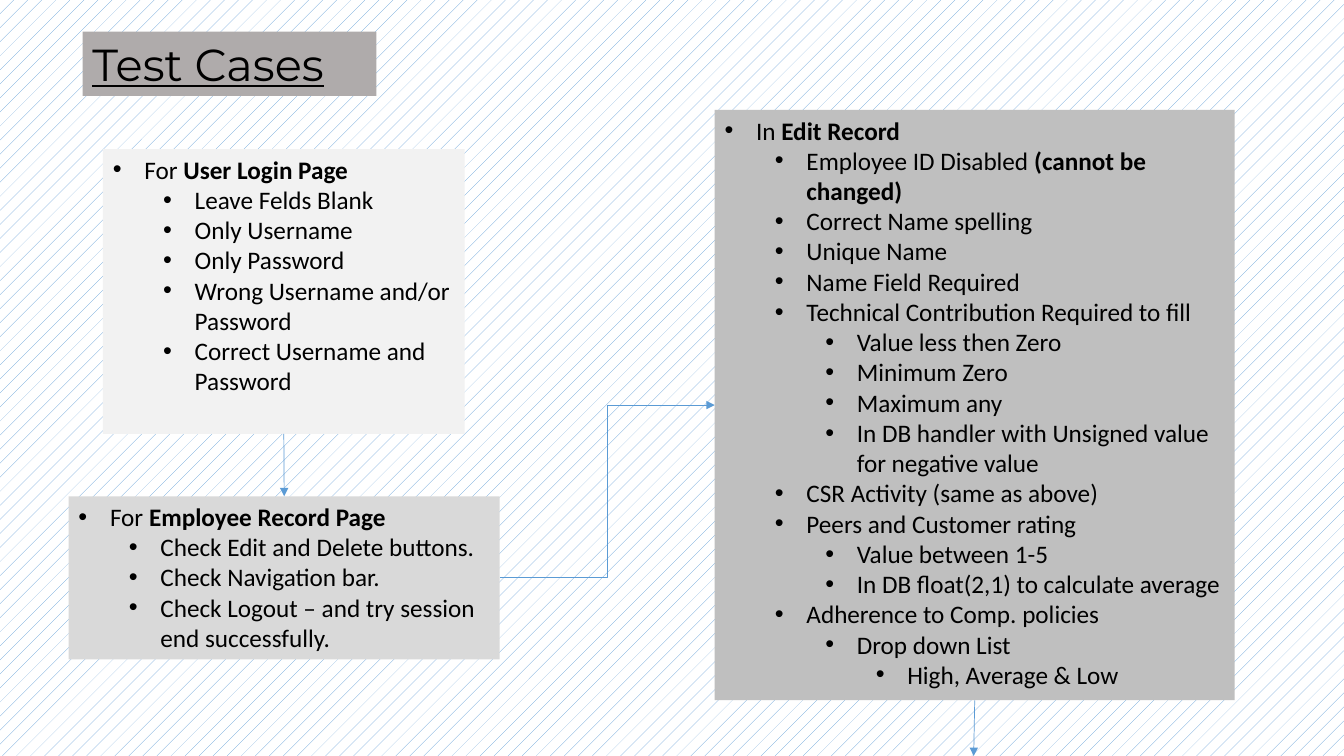
from lxml.etree import SubElement
from pptx import Presentation
from pptx.dml.color import RGBColor
from pptx.enum.dml import MSO_PATTERN
from pptx.enum.shapes import MSO_CONNECTOR, MSO_SHAPE
from pptx.enum.text import MSO_ANCHOR, PP_ALIGN
from pptx.oxml.ns import qn
from pptx.util import Pt

COLORS = {
    "text": "000000", "paper": "FFFFFF", "accent": "5B9BD5", "title": "AFABAB",
    "login": "F2F2F2", "record": "D9D9D9", "edit": "BFBFBF",
}
BULLET_HANG = 22.5
LEVEL_STEP = 36

LOGIN_CASES = [
    (0, "For ", "User Login Page"),
    (1, "Leave Felds Blank"),
    (1, "Only Username"),
    (1, "Only Password"),
    (1, "Wrong Username and/or Password"),
    (1, "Correct Username and Password"),
]
RECORD_CASES = [
    (0, "For ", "Employee Record Page"),
    (1, "Check Edit and Delete buttons."),
    (1, "Check Navigation bar."),
    (1, "Check Logout – and try session end successfully."),
]
EDIT_CASES = [
    (0, "In ", "Edit Record"),
    (1, "Employee ID Disabled ", "(cannot be changed)"),
    (1, "Correct Name spelling"),
    (1, "Unique Name"),
    (1, "Name Field Required"),
    (1, "Technical Contribution Required to fill"),
    (2, "Value less then Zero"),
    (2, "Minimum Zero"),
    (2, "Maximum any"),
    (2, "In DB handler with Unsigned value for negative value"),
    (1, "CSR Activity (same as above)"),
    (1, "Peers and Customer rating"),
    (2, "Value between 1-5"),
    (2, "In DB float(2,1) to calculate average"),
    (1, "Adherence to Comp. policies"),
    (2, "Drop down List"),
    (3, "High, Average & Low"),
]


def rgb(name):
    return RGBColor.from_string(COLORS[name])


def add_text(paragraph, text, *, size=18, font="Calibri", bold=False, underline=False):
    run = paragraph.add_run()
    run.text = text
    run.font.size = Pt(size)
    run.font.name = font
    run.font.bold = bold
    run.font.underline = underline
    run.font.color.rgb = rgb("text")


def add_panel(slide, left, top, width, height, fill):
    panel = slide.shapes.add_shape(
        MSO_SHAPE.RECTANGLE, Pt(left), Pt(top), Pt(width), Pt(height))
    panel.shadow.inherit = False
    panel.fill.solid()
    panel.fill.fore_color.rgb = rgb(fill)
    panel.line.fill.background()
    panel.text_frame.word_wrap = True
    panel.text_frame.vertical_anchor = MSO_ANCHOR.TOP
    panel.text_frame.paragraphs[0].alignment = PP_ALIGN.LEFT
    return panel


def set_bullet(paragraph, level):
    paragraph.level = level
    properties = paragraph._p.get_or_add_pPr()
    properties.set("marL", str(Pt(BULLET_HANG + LEVEL_STEP * level)))
    properties.set("indent", str(-Pt(BULLET_HANG)))
    SubElement(properties, qn("a:buFont"), typeface="Arial")
    SubElement(properties, qn("a:buChar"), char="•")


def add_cases(slide, cases, *box):
    panel = add_panel(slide, *box)
    frame = panel.text_frame
    for number, (level, plain, *strong) in enumerate(cases):
        paragraph = frame.add_paragraph() if number else frame.paragraphs[0]
        paragraph.alignment = PP_ALIGN.LEFT
        set_bullet(paragraph, level)
        add_text(paragraph, plain)
        for phrase in strong:
            add_text(paragraph, phrase, bold=True)
    return panel


def add_arrow(slide, start, end, kind=MSO_CONNECTOR.STRAIGHT):
    arrow = slide.shapes.add_connector(kind, *map(Pt, start + end))
    arrow.line.color.rgb = rgb("accent")
    arrow.line.width = Pt(0.5)
    SubElement(arrow.line._get_or_add_ln(), qn("a:tailEnd"), type="triangle")
    SubElement(arrow._element.spPr, qn("a:effectLst"))
    return arrow


def set_background(slide):
    fill = slide.background.fill
    fill.patterned()
    fill.pattern = MSO_PATTERN.PERCENT_5
    fill.fore_color.rgb = rgb("accent")
    fill.back_color.rgb = rgb("paper")


def main():
    deck = Presentation()
    deck.slide_width, deck.slide_height = Pt(960), Pt(540)
    slide = deck.slides.add_slide(deck.slide_layouts[6])
    set_background(slide)

    heading = add_panel(slide, 59, 22.5, 210, 46, "title")
    add_text(heading.text_frame.paragraphs[0], "Test Cases",
             size=32, font="Montserrat", underline=True)

    login = add_cases(slide, LOGIN_CASES, 73.5, 106.5, 258.5, 203.5, "login")
    record = add_cases(slide, RECORD_CASES, 49, 354.5, 308, 116.5, "record")
    edit = add_cases(slide, EDIT_CASES, 510.5, 78.5, 371.5, 421.75, "edit")

    login_to_record = add_arrow(slide, (203, 310), (203, 354.5))
    login_to_record.begin_connect(login, 2)
    login_to_record.end_connect(record, 0)
    record_to_edit = add_arrow(slide, (357, 412.75), (510.5, 289.5), MSO_CONNECTOR.ELBOW)
    record_to_edit.begin_connect(record, 3)
    record_to_edit.end_connect(edit, 1)
    add_arrow(slide, (696.25, 500.25), (695.5, 540))

    deck.save("out.pptx")


main()
